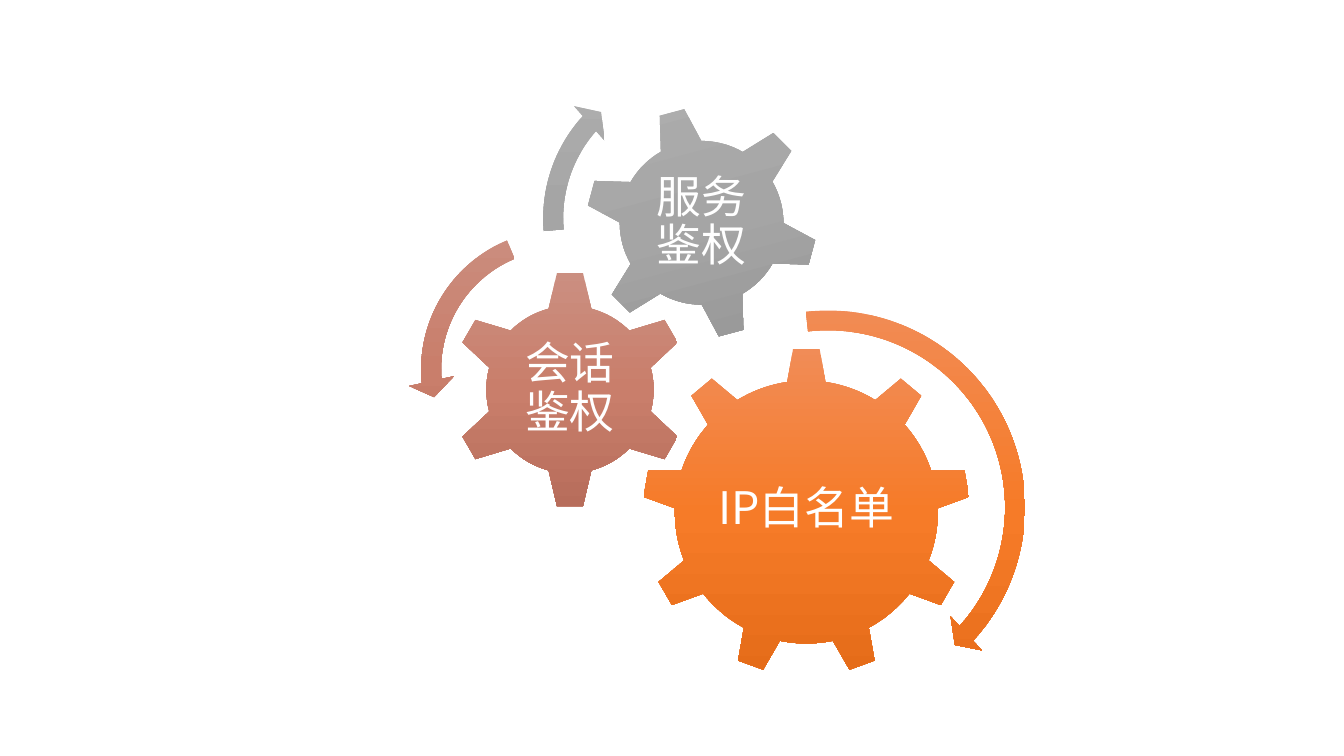
from copy import deepcopy
from dataclasses import dataclass

from pptx import Presentation
from pptx.dml.color import RGBColor
from pptx.enum.shapes import MSO_SHAPE as Preset
from pptx.enum.text import MSO_ANCHOR as Anchor, PP_ALIGN as Align
from pptx.oxml.ns import qn
from pptx.oxml.xmlchemy import OxmlElement
from pptx.shapes.autoshape import Shape
from pptx.slide import Slide
from pptx.util import Pt

FONT = "Noto Sans CJK SC"
COLORS = {
    "label": "FFFFFF",
    "orange": ("F18C57", "F67B28", "E56C19"),
    "clay": ("CB8F81", "C97E6B", "B76D5B"),
    "gray": ("AFAFAF", "A5A5A5", "939393"),
}


@dataclass(frozen=True)
class Part:
    """A square gear or arrow; lengths in points."""
    preset: Preset
    left: float
    top: float
    side: float
    color: str
    rotation: float = 0
    adjustments: tuple[float, ...] = ()


@dataclass(frozen=True)
class Cog:
    """A gear, its label, and the label area centred on its hub."""
    gear: Part
    label: str
    label_width: float
    label_height: float
    label_rise: float = 0


COGS = (
    Cog(Part(Preset.GEAR_9, 458.64, 248.4, 234.72, "orange"),
        "IP白名单", 140.4, 120.96, label_rise=1.5),
    Cog(Part(Preset.GEAR_6, 321.84, 192.96, 170.64, "clay"),
        "会话鉴权", 84.96, 84.24),
    Cog(Part(Preset.GEAR_6, 417.6, 75.6, 167.04, "gray", rotation=345),
        "服务鉴权", 93.6, 93.6),
)
ARROWS = (
    Part(Preset.CIRCULAR_ARROW, 441.36, 212.4, 300.24, "orange",
         adjustments=(0.047, 2.99, 25.393, 158.123, 0.055)),
    Part(Preset.LEFT_CIRCULAR_ARROW, 291.6, 154.8, 218.16, "clay",
         adjustments=(0.065, 4.3, 104.891, 148.378, 0.075)),
    Part(Preset.CIRCULAR_ARROW, 378.72, 38.16, 235.44, "gray",
         adjustments=(0.06, 3.941, 133.138, 105.082, 0.07)),
)


def fill_gradient(shape: Shape, shades: tuple[str, ...]) -> None:
    """Fill from top to bottom with three evenly spaced shades."""
    fill = shape.fill
    fill.gradient()
    fill.gradient_angle = 270
    stop_list = shape.element.spPr.find(qn("a:gradFill")).find(qn("a:gsLst"))
    stop_list.insert(1, deepcopy(stop_list[0]))
    for index, (stop, shade) in enumerate(zip(fill.gradient_stops, shades)):
        stop.position = index / 2
        stop.color.rgb = RGBColor.from_string(shade)


def draw_part(slide: Slide, part: Part) -> None:
    shape = slide.shapes.add_shape(
        part.preset, Pt(part.left), Pt(part.top), Pt(part.side), Pt(part.side))
    for index, value in enumerate(part.adjustments):
        shape.adjustments[index] = value
    shape.rotation = part.rotation
    shape.shadow.inherit = False
    shape.line.fill.background()
    fill_gradient(shape, COLORS[part.color])


def draw_label(slide: Slide, cog: Cog) -> None:
    gear = cog.gear
    label = slide.shapes.add_textbox(
        Pt(gear.left + (gear.side - cog.label_width) / 2),
        Pt(gear.top + (gear.side - cog.label_height) / 2 - cog.label_rise),
        Pt(cog.label_width), Pt(cog.label_height))
    frame = label.text_frame
    frame.text = cog.label
    frame.word_wrap = True
    frame.vertical_anchor = Anchor.MIDDLE
    frame.margin_left = frame.margin_right = Pt(3)
    frame.margin_top = frame.margin_bottom = Pt(3)
    paragraph = frame.paragraphs[0]
    paragraph.alignment = Align.CENTER
    paragraph.line_spacing = 0.9
    font = paragraph.runs[0].font
    font.size = Pt(32)
    font.name = FONT
    font.color.rgb = RGBColor.from_string(COLORS["label"])
    east_asian = OxmlElement("a:ea")
    east_asian.set("typeface", FONT)
    latin = next(label.element.iter(qn("a:latin")))
    latin.addnext(east_asian)


def main() -> None:
    deck = Presentation()
    deck.slide_width, deck.slide_height = Pt(960), Pt(540)
    slide = deck.slides.add_slide(deck.slide_layouts[6])
    for cog in COGS:
        draw_part(slide, cog.gear)
        draw_label(slide, cog)
    for arrow in ARROWS:
        draw_part(slide, arrow)
    deck.save("out.pptx")


if __name__ == "__main__":
    main()
